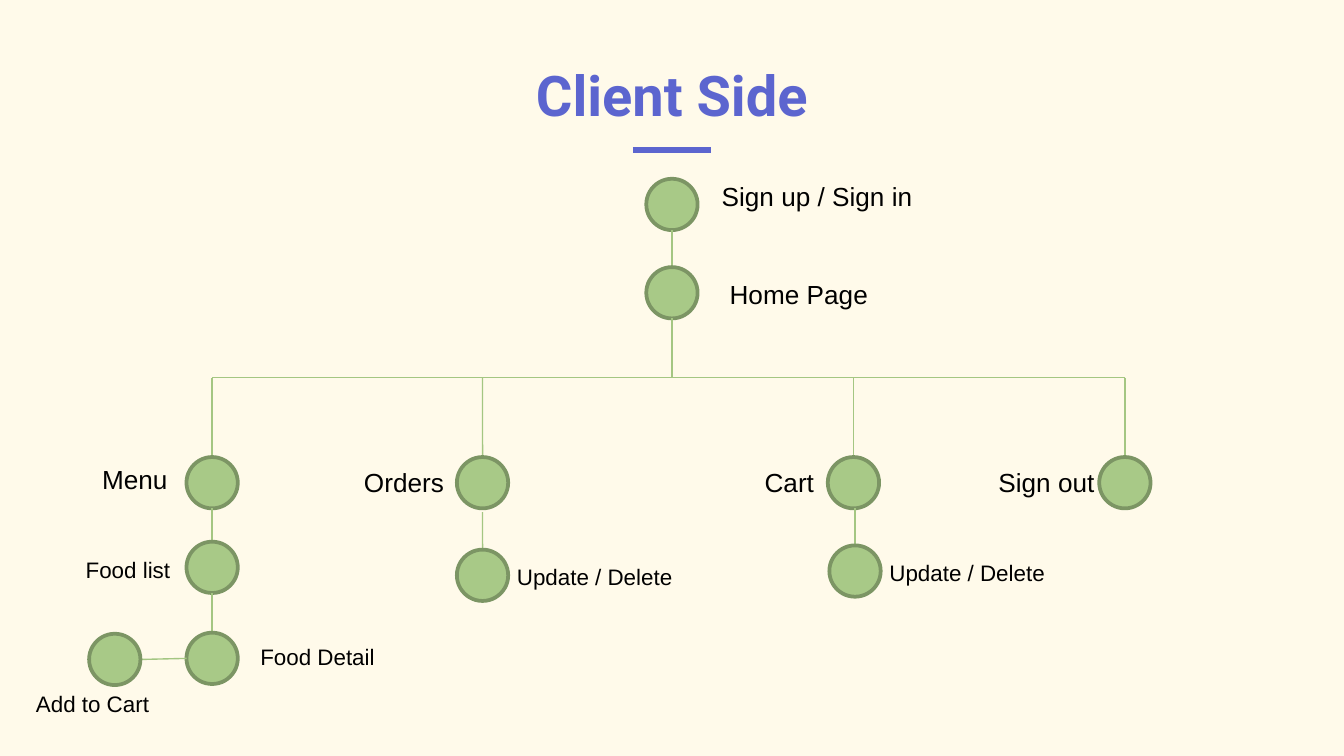
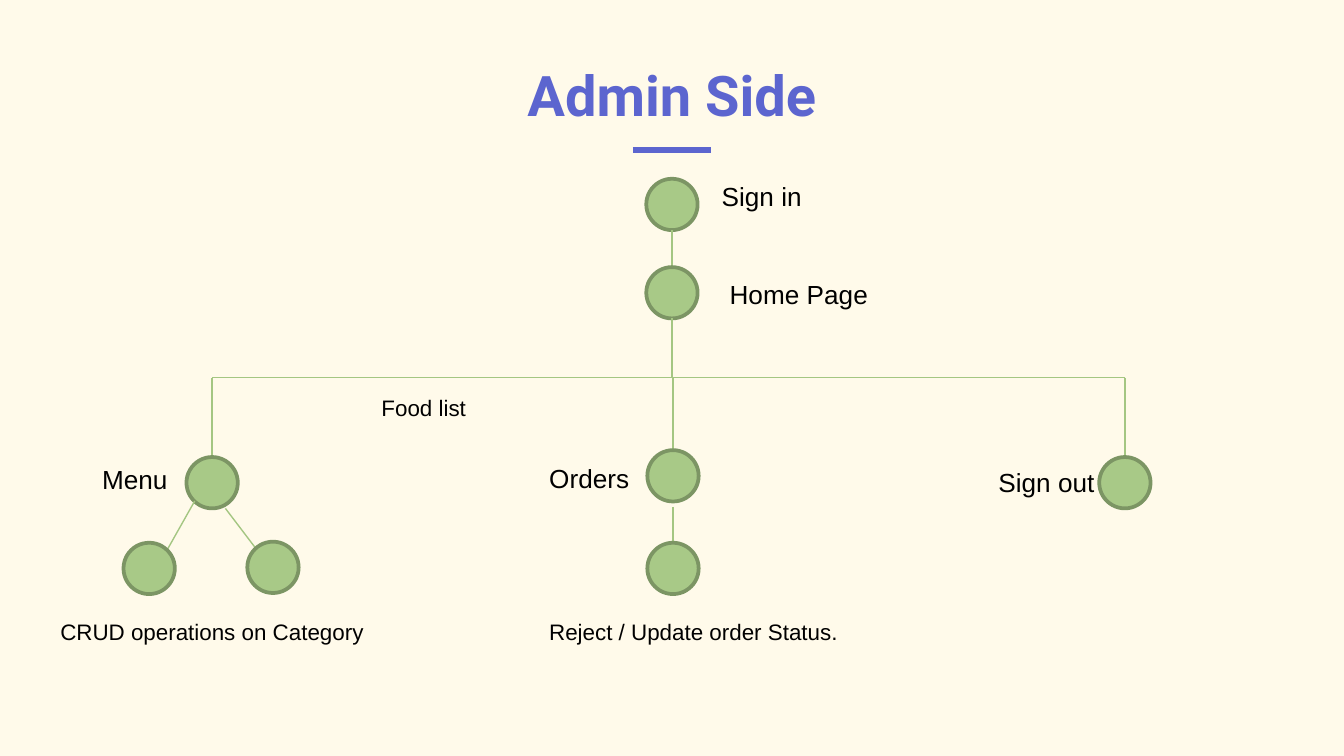
from lxml import etree
from pptx import Presentation
from pptx.dml.color import RGBColor
from pptx.enum.shapes import MSO_CONNECTOR, MSO_SHAPE
from pptx.enum.text import MSO_ANCHOR, MSO_AUTO_SIZE, PP_ALIGN
from pptx.oxml.ns import qn
from pptx.util import Cm, Pt

STRAIGHT = MSO_CONNECTOR.STRAIGHT
CIRCLE = MSO_SHAPE.OVAL
BOTTOM = MSO_ANCHOR.BOTTOM
CENTER = PP_ALIGN.CENTER
FIT_SHAPE = MSO_AUTO_SIZE.SHAPE_TO_FIT_TEXT

COLORS = {
    "background": "FFFAEA",
    "accent": "5C65CF",
    "node": "A8C987",
    "node_edge": "7C9564",
    "link": "A4C682",
    "text": "000000",
}
WIDTH, HEIGHT = 25.4, 14.29
MIDDLE = WIDTH / 2
NODE = 0.97
TRUNK_TOP = 3.38
BUS = 7.14
HEADS = 8.64
MENU_AXIS, SIGN_OUT_AXIS = 4.01, 21.26


def color(name):
    return RGBColor.from_string(COLORS[name])


def add_link(slide, x1, y1, x2, y2, hue="link", weight=0.75):
    link = slide.shapes.add_connector(STRAIGHT, Cm(x1), Cm(y1), Cm(x2), Cm(y2))
    link.line.color.rgb = color(hue)
    link.line.width = Pt(weight)
    etree.SubElement(link._element.spPr, qn("a:effectLst"))
    return link


def add_node(slide, axis, top):
    node = slide.shapes.add_shape(
        CIRCLE, Cm(axis - NODE / 2), Cm(top), Cm(NODE), Cm(NODE))
    node.shadow.inherit = False
    node.fill.solid()
    node.fill.fore_color.rgb = color("node")
    node.line.color.rgb = color("node_edge")
    node.line.width = Pt(2)
    return node


def add_child(slide, axis, start, top):
    stem = add_link(slide, axis, start, axis, top)
    stem.end_connect(add_node(slide, axis, top), 0)


def add_label(slide, text, left, top, width, size=12, wrap=True):
    height = 0.86 if size == 14 else 0.76
    label = slide.shapes.add_textbox(Cm(left), Cm(top), Cm(width), Cm(height))
    frame = label.text_frame
    frame.word_wrap = wrap
    frame.auto_size = FIT_SHAPE
    frame.text = text
    font = frame.paragraphs[0].font
    font.name = "Arial"
    font.size = Pt(size)
    font.color.rgb = color("text")


def add_heading(slide, text, left, top, width):
    heading = slide.shapes.add_textbox(Cm(left), Cm(top), Cm(width), Cm(2.11))
    frame = heading.text_frame
    frame.word_wrap = True
    frame.vertical_anchor = BOTTOM
    frame.margin_left = frame.margin_right = Cm(0.25)
    frame.margin_top = frame.margin_bottom = Cm(0.25)
    frame.text = text
    paragraph = frame.paragraphs[0]
    paragraph.alignment = CENTER
    paragraph.font.name = "Roboto"
    paragraph.font.size = Pt(30)
    paragraph.font.bold = True
    paragraph.font.color.rgb = color("accent")
    center, rule = left + width / 2, top + 2.28
    add_link(slide, center - 0.74, rule, center + 0.74, rule, "accent", 3)


def add_trunk(slide, axis, top, entry, entry_width):
    home = top + 1.67
    add_node(slide, axis, top)
    add_child(slide, axis, top + NODE, home)
    add_link(slide, axis, home + NODE, axis, BUS)
    add_link(slide, MENU_AXIS, BUS, SIGN_OUT_AXIS, BUS)
    add_label(slide, entry, axis + 0.69, top - 0.1, entry_width, 14, False)
    add_label(slide, "Home Page", axis + 0.84, home + 0.08, 3.15, 14, False)


def add_branch(slide, text, axis, top, dx, dy, width, wrap=False):
    add_child(slide, axis, BUS, top)
    add_label(slide, text, axis + dx, top + dy, width, 14, wrap)


def add_menu(slide, axis, top):
    add_branch(slide, "Menu", axis, top, -2.33, 0, 2.95, True)


def add_sign_out(slide, axis, top):
    add_branch(slide, "Sign out", axis, top, -2.64, 0.05, 2.34)


def add_food_path(slide, axis, top):
    food_list, detail = top + 1.6, top + 3.32
    add_child(slide, axis, top + NODE, food_list)
    add_child(slide, axis, food_list + NODE, detail)
    cart_axis, level = axis - 1.84, detail + NODE / 2
    add_link(slide, axis - NODE / 2, level, cart_axis + NODE / 2, level + 0.02)
    add_node(slide, cart_axis, detail + 0.02)
    add_label(slide, "Food list", axis - 2.64, food_list + 0.15, 2.54)
    add_label(slide, "Food Detail", axis + 0.66, detail + 0.08, 3.1)
    add_label(slide, "Add to Cart", axis - 3.58, detail + NODE, 3.1)


def add_update(slide, axis, start, top):
    add_child(slide, axis, start, top)
    add_label(slide, "Update / Delete", axis + 0.4, top + 0.13, 3.99)


def add_category_fork(slide, axis, top):
    add_link(slide, axis - 0.33, top + 0.83, axis - 0.86, top + 1.77)
    add_node(slide, axis - 1.19, top + 1.62)
    add_link(slide, axis + 0.25, top + NODE, axis + 0.82, top + 1.72)
    add_node(slide, axis + 1.15, top + 1.6)
    add_label(slide, "Food list", axis + 2.95, top - 1.32, 2.54)
    add_label(slide, "CRUD operations on Category", axis - 3.12, top + 2.92, 6.25)


def add_tree_slide(prs, title, entry, entry_width):
    slide = prs.slides.add_slide(prs.slide_layouts[6])
    add_heading(slide, title, 1.98, 0.56, WIDTH - 2 * 1.98)
    add_trunk(slide, MIDDLE, TRUNK_TOP, entry, entry_width)
    add_menu(slide, MENU_AXIS, HEADS)
    add_sign_out(slide, SIGN_OUT_AXIS, HEADS)
    return slide


def add_client_slide(prs):
    slide = add_tree_slide(prs, "Client Side", "Sign up / Sign in", 4.14)
    add_food_path(slide, MENU_AXIS, HEADS)
    orders_axis, cart_axis = 9.12, 16.13
    add_branch(slide, "Orders", orders_axis, HEADS, -2.49, 0.05, 2.03)
    add_update(slide, orders_axis, HEADS + 1.04, HEADS + 1.75)
    add_branch(slide, "Cart", cart_axis, HEADS, -1.93, 0.05, 1.45)
    add_update(slide, cart_axis + 0.03, HEADS + NODE, HEADS + 1.67)


def add_admin_slide(prs):
    slide = add_tree_slide(prs, "Admin Side", "Sign in", 2.03)
    add_category_fork(slide, MENU_AXIS, HEADS)
    orders_axis, orders_top = MIDDLE + 0.02, HEADS - 0.13
    add_branch(slide, "Orders", orders_axis, orders_top, -2.59, 0.1, 2.03)
    add_child(slide, orders_axis, orders_top + 1.07, HEADS + 1.62)
    add_label(slide, "Reject / Update order Status.",
              orders_axis - 2.59, HEADS + 2.92, 6.1)


def main():
    prs = Presentation()
    prs.slide_width, prs.slide_height = Cm(WIDTH), Cm(HEIGHT)
    backdrop = prs.slide_master.background.fill
    backdrop.solid()
    backdrop.fore_color.rgb = color("background")
    add_client_slide(prs)
    add_admin_slide(prs)
    prs.save("out.pptx")


if __name__ == "__main__":
    main()
